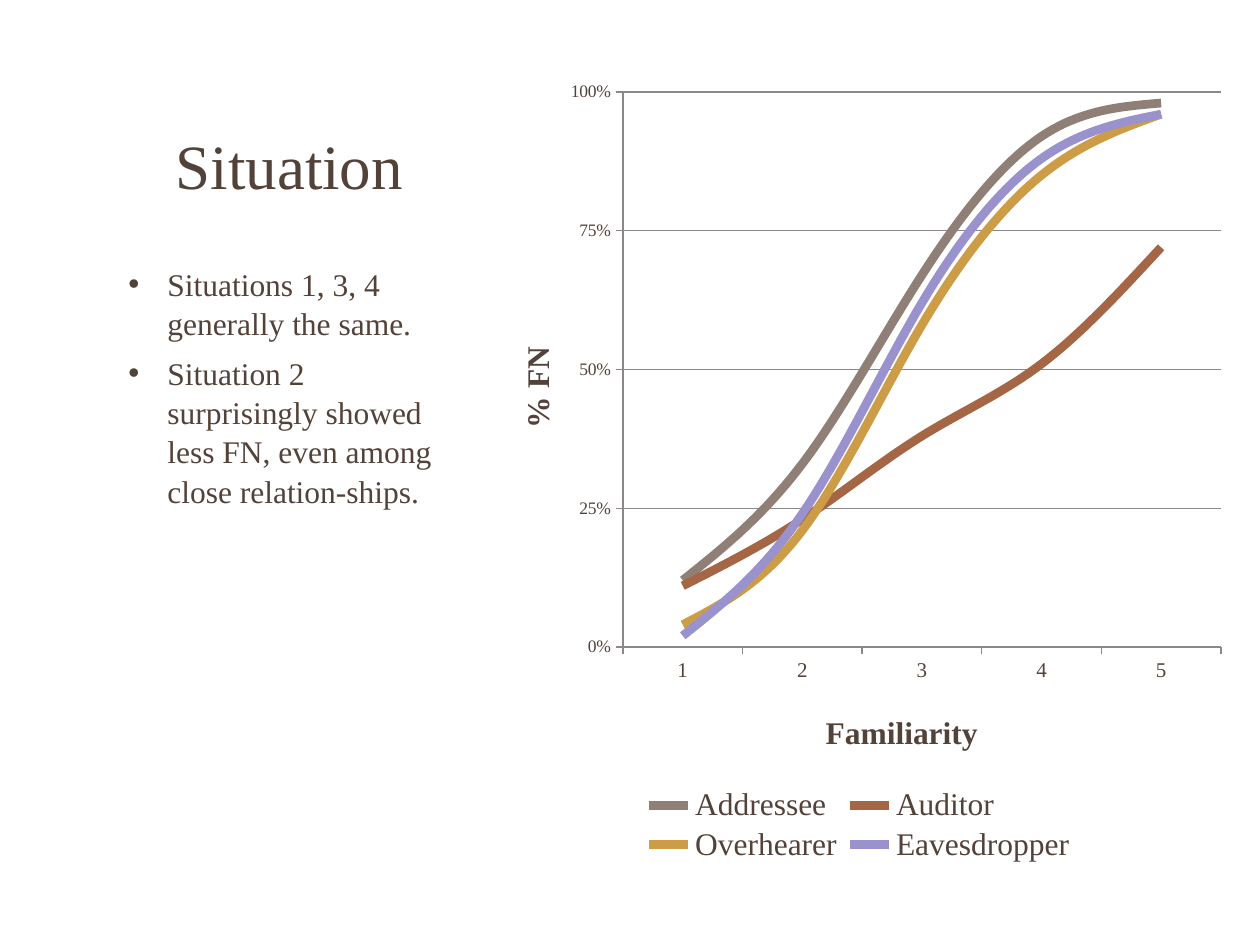
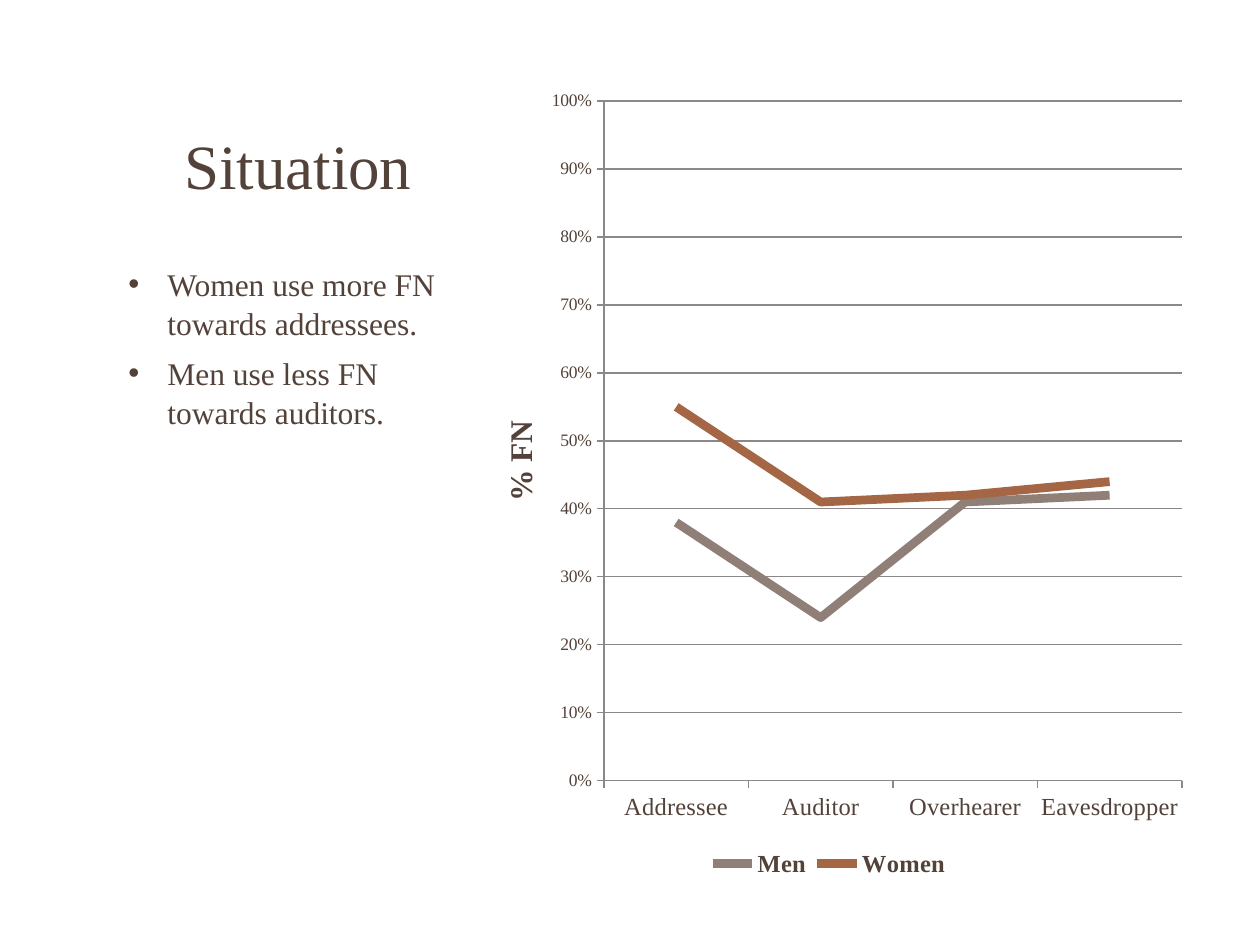
from lxml.etree import SubElement
from pptx import Presentation
from pptx.chart.data import CategoryChartData
from pptx.dml.color import RGBColor
from pptx.enum.chart import XL_CHART_TYPE, XL_LEGEND_POSITION, XL_TICK_MARK
from pptx.enum.text import MSO_ANCHOR, MSO_AUTO_SIZE, PP_ALIGN
from pptx.oxml import parse_xml
from pptx.oxml.ns import nsdecls, qn
from pptx.util import Emu, Pt

PIXEL = 914400 // 126
FONT = "Times New Roman"
COLORS = {
    "text": "534239",
    "axis": "8C8789",
    "taupe": "907F76",
    "rust": "A46645",
    "gold": "CD9C47",
    "lilac": "9A92CD",
}
BODY_BOX = (116, 257, 347, 554)

# Boxes are (left, top, width, height) in pixels of the slide.
SLIDES = [
    {
        "title_box": (116, 126, 347, 82),
        "bullets": [
            "Situations 1, 3, 4 generally the same.",
            "Situation 2 surprisingly showed less FN, even among close relation-ships.",
        ],
        "chart": {
            "box": (480, 67, 757, 801),
            "plot_box": (623, 92, 598, 555),
            "legend_box": (636, 783, 446, 84),
            "value_title_box": (512, 341, 32, 79),
            "category_title_box": (820, 707, 151, 36),
            "category_title": "Familiarity",
            "categories": ["1", "2", "3", "4", "5"],
            "series": [
                ("Addressee", (0.12, 0.33, 0.67, 0.92, 0.98), "taupe"),
                ("Auditor", (0.11, 0.23, 0.38, 0.51, 0.72), "rust"),
                ("Overhearer", (0.04, 0.21, 0.58, 0.85, 0.96), "gold"),
                ("Eavesdropper", (0.02, 0.24, 0.62, 0.88, 0.96), "lilac"),
            ],
            "smooth": True,
            "major_unit": 0.25,
            "category_size": 12,
            "legend_font": {"size": Pt(18), "bold": False},
        },
    },
    {
        "title_box": (116, 126, 364, 82),
        "bullets": [
            "Women use more FN towards addressees.",
            "Men use less FN towards auditors.",
        ],
        "chart": {
            "box": (462, 76, 735, 809),
            "plot_box": (604, 101, 578, 680),
            "legend_box": (702, 846, 254, 36),
            "value_title_box": (495, 415, 32, 79),
            "category_title": None,
            "categories": ["Addressee", "Auditor", "Overhearer", "Eavesdropper"],
            "series": [
                ("Men", (0.38, 0.24, 0.41, 0.42), "taupe"),
                ("Women", (0.55, 0.41, 0.42, 0.44), "rust"),
            ],
            "smooth": False,
            "major_unit": 0.1,
            "category_size": 14,
            "legend_font": {"size": Pt(14), "bold": True},
        },
    },
]


def scaled(box):
    """Turn a box in pixels into EMU lengths."""
    return [Emu(length * PIXEL) for length in box]


def set_values(target, values):
    """Set each named attribute of an object."""
    for name, value in values.items():
        setattr(target, name, value)


def style_font(font, size, bold=False):
    """Apply the shared typeface and text colour."""
    set_values(font, {"name": FONT, "size": Pt(size), "bold": bold})
    font.color.rgb = RGBColor.from_string(COLORS["text"])


def style_line(line, color, width):
    """Give a line its colour and its width in points."""
    line.color.rgb = RGBColor.from_string(COLORS[color])
    line.width = Pt(width)


def add_title(slide, box):
    """Place and format the title placeholder."""
    title = slide.shapes.title
    set_values(title, dict(zip(("left", "top", "width", "height"), scaled(box))))
    frame = title.text_frame
    frame.text = "Situation"
    set_values(frame, {"vertical_anchor": MSO_ANCHOR.BOTTOM, "word_wrap": True,
                       "auto_size": MSO_AUTO_SIZE.NONE})
    paragraph = frame.paragraphs[0]
    paragraph.alignment = PP_ALIGN.CENTER
    style_font(paragraph.runs[0].font, 36)


def add_bullets(slide, texts):
    """Add the bulleted text column."""
    frame = slide.shapes.add_textbox(*scaled(BODY_BOX)).text_frame
    frame.word_wrap = True
    for index, text in enumerate(texts):
        paragraph = frame.paragraphs[0] if index == 0 else frame.add_paragraph()
        run = paragraph.add_run()
        run.text = text
        style_font(run.font, 18)
        set_values(paragraph, {"space_before": Pt(6), "line_spacing": 1.04})
        properties = paragraph._p.get_or_add_pPr()
        indent = 39 * PIXEL
        properties.set("marL", str(indent))
        properties.set("indent", str(-indent))
        SubElement(properties, qn("a:buFont"), typeface="Arial")
        SubElement(properties, qn("a:buChar"), char="\u2022")


def set_layout(element, box, chart_box, sized=True, inner=False):
    """Fix the place of a chart part as fractions of the chart."""
    for old in element.findall(qn("c:layout")):
        element.remove(old)
    left, top, width, height = chart_box
    fractions = {"x": (box[0] - left) / width, "y": (box[1] - top) / height}
    if sized:
        fractions.update(w=box[2] / width, h=box[3] / height)
    settings = [("layoutTarget", "inner")] if inner else []
    settings += [("xMode", "edge"), ("yMode", "edge")]
    settings += [(name, f"{value:.4f}") for name, value in fractions.items()]
    content = "".join(f'<c:{name} val="{value}"/>' for name, value in settings)
    layout = parse_xml(f'<c:layout {nsdecls("c")}><c:manualLayout>{content}'
                       "</c:manualLayout></c:layout>")
    element.insert(0 if inner else 1, layout)


def add_axis_title(axis, text, box, chart_box, rotation=0):
    """Add a bold axis title at a fixed place."""
    frame = axis.axis_title.text_frame
    frame.text = text
    style_font(frame.paragraphs[0].runs[0].font, 18, True)
    frame._txBody.bodyPr.set("rot", str(rotation * 60000))
    set_layout(axis.axis_title._element, box, chart_box, sized=False)


def style_axes(chart, details):
    """Format both axes, the gridlines and the axis titles."""
    category_axis, value_axis = chart.category_axis, chart.value_axis
    for axis, size in ((category_axis, details["category_size"]), (value_axis, 10)):
        set_values(axis, {"major_tick_mark": XL_TICK_MARK.OUTSIDE,
                          "minor_tick_mark": XL_TICK_MARK.NONE})
        style_font(axis.tick_labels.font, size)
        style_line(axis.format.line, "axis", 0.75)
    set_values(value_axis, {"minimum_scale": 0, "maximum_scale": 1,
                            "major_unit": details["major_unit"],
                            "has_major_gridlines": True})
    style_line(value_axis.major_gridlines.format.line, "axis", 0.75)
    set_values(value_axis.tick_labels, {"number_format": "0%",
                                        "number_format_is_linked": False})
    add_axis_title(value_axis, "% FN", details["value_title_box"], details["box"], -90)
    if details["category_title"]:
        add_axis_title(category_axis, details["category_title"],
                       details["category_title_box"], details["box"])


def add_line_chart(slide, details):
    """Add a line chart with its series, axes and legend."""
    data = CategoryChartData(number_format="0%")
    data.categories = details["categories"]
    for name, values, _ in details["series"]:
        data.add_series(name, values)
    chart = slide.shapes.add_chart(
        XL_CHART_TYPE.LINE, *scaled(details["box"]), data).chart
    set_values(chart, {"has_title": False, "has_legend": True})
    style_font(chart.font, 10)
    plot = chart.plots[0]
    plot.vary_by_categories = False
    for series, (_, _, color) in zip(plot.series, details["series"]):
        series.smooth = details["smooth"]
        style_line(series.format.line, color, 5)
    style_axes(chart, details)
    legend = chart.legend
    set_values(legend, {"position": XL_LEGEND_POSITION.BOTTOM,
                        "include_in_layout": False})
    style_font(legend.font, 14)
    set_values(legend.font, details["legend_font"])
    set_layout(legend._element, details["legend_box"], details["box"])
    plot_area = chart._chartSpace.find(".//" + qn("c:plotArea"))
    set_layout(plot_area, details["plot_box"], details["box"], inner=True)


def main():
    """Build and save the presentation."""
    presentation = Presentation()
    set_values(presentation, {"slide_width": Emu(1260 * PIXEL),
                              "slide_height": Emu(945 * PIXEL)})
    for content in SLIDES:
        slide = presentation.slides.add_slide(presentation.slide_layouts[5])
        add_title(slide, content["title_box"])
        add_bullets(slide, content["bullets"])
        add_line_chart(slide, content["chart"])
    presentation.save("out.pptx")


main()
